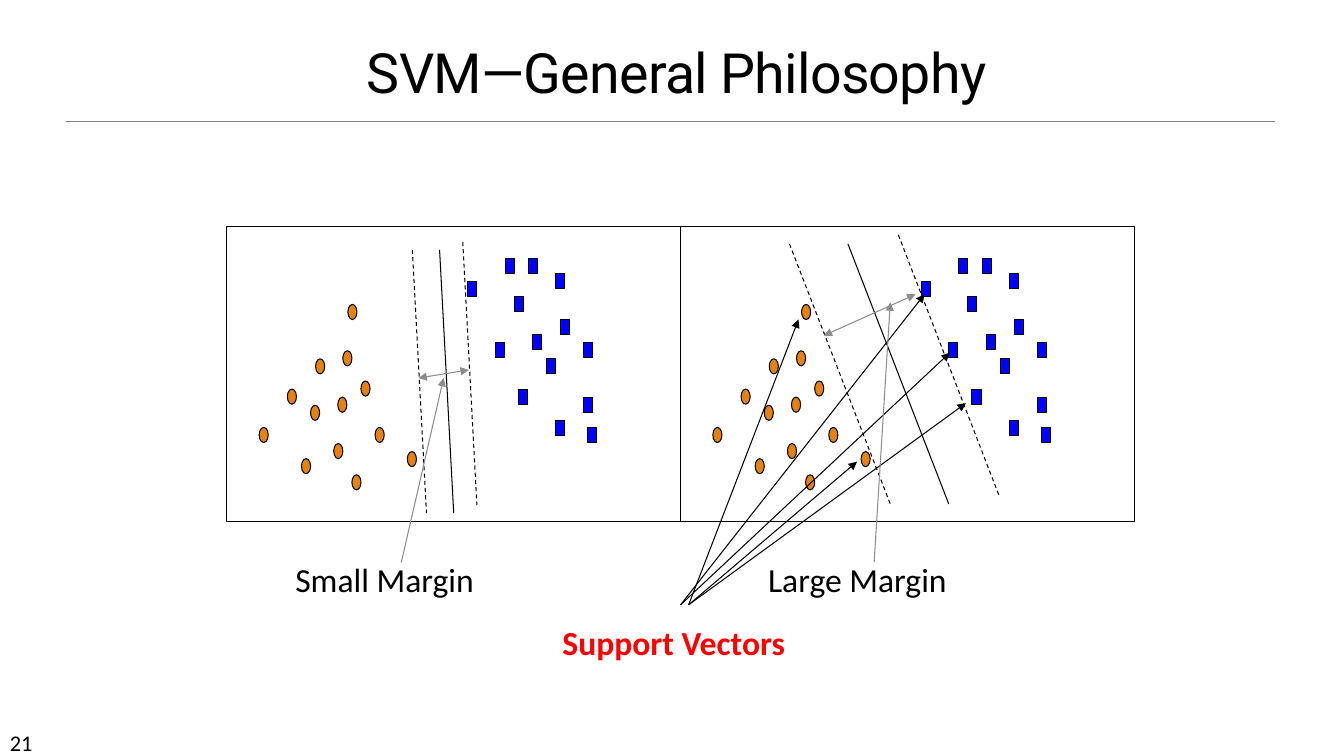
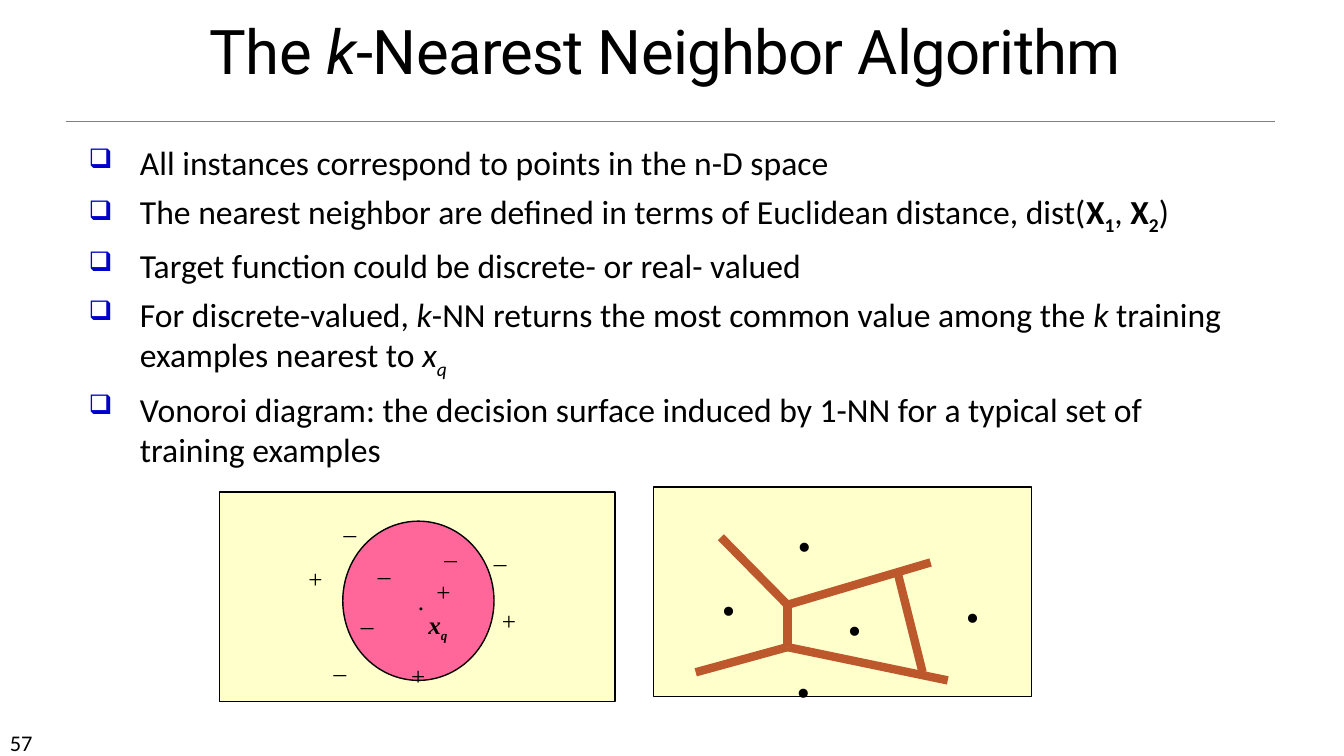
from lxml import etree
from pptx import Presentation
from pptx.dml.color import RGBColor
from pptx.enum.dml import MSO_LINE
from pptx.enum.shapes import MSO_CONNECTOR, MSO_SHAPE as SHAPE
from pptx.enum.text import MSO_ANCHOR as ANCHOR, MSO_AUTO_SIZE as AUTO, PP_ALIGN as ALIGN
from pptx.oxml.ns import qn
from pptx.util import Inches, Pt

BLACK = RGBColor(0x00, 0x00, 0x00)
RULE_GRAY = RGBColor(0x80, 0x80, 0x80)
ARROW_GRAY = RGBColor(0x8C, 0x8C, 0x8C)
ORANGE = RGBColor(0xE4, 0x83, 0x12)
BLUE = RGBColor(0x00, 0x00, 0xFF)
BULLET_BLUE = "0000CC"
RED = RGBColor(0xFF, 0x00, 0x00)
CREAM = RGBColor(0xFF, 0xFF, 0xCC)
PINK = RGBColor(0xFF, 0x66, 0x99)
BROWN = RGBColor(0xBD, 0x58, 0x2C)

# Run styles and text formats
BOLD = {"bold": True}
ITALIC = {"italic": True}
BOLD_SUB = {"bold": True, "sub": True}
ITALIC_SUB = {"italic": True, "sub": True}
TITLE = {"font": "Roboto", "align": ALIGN.CENTER, "line_spacing": 0.85, "tracking": -50, "wrap": True}
SYMBOL = {"font": "Times New Roman", "size": 18}


def add_box(slide, box, paragraphs=(), kind=None, fill=None, line_width=0.75,
            font="Calibri", size=24, color=BLACK, bold=False, align=ALIGN.LEFT,
            anchor=ANCHOR.TOP, wrap=False, line_spacing=None, tracking=None,
            bullet=None, left_inset=0.1):
    """Add a text box, or a preset shape when kind is given.

    A paragraph is a string or a list of (text, run style) pairs.
    """
    place = [Inches(value) for value in box]
    if kind is None:
        shape = slide.shapes.add_textbox(*place)
    else:
        shape = slide.shapes.add_shape(kind, *place)
        shape.shadow.inherit = False
        if fill is None:
            shape.fill.background()
        else:
            shape.fill.solid()
            shape.fill.fore_color.rgb = fill
        shape.line.color.rgb = BLACK
        shape.line.width = Pt(line_width)

    frame = shape.text_frame
    frame.word_wrap = wrap
    frame.auto_size = AUTO.NONE if wrap or kind else AUTO.SHAPE_TO_FIT_TEXT
    frame.vertical_anchor = anchor
    frame.margin_left = Inches(left_inset)
    for index, content in enumerate(paragraphs):
        paragraph = frame.paragraphs[0] if index == 0 else frame.add_paragraph()
        paragraph.alignment = align
        if line_spacing:
            paragraph.line_spacing = line_spacing
        if bullet:
            paragraph.space_before = Pt(6 if index else 0)
            properties = paragraph._p.get_or_add_pPr()
            properties.set("marL", str(Inches(0.51)))
            properties.set("indent", str(-Inches(0.51)))
            bullet_color = etree.SubElement(properties, qn("a:buClr"))
            etree.SubElement(bullet_color, qn("a:srgbClr"), val=BULLET_BLUE)
            etree.SubElement(properties, qn("a:buSzPct"), val="80000")
            etree.SubElement(properties, qn("a:buChar"), char=bullet)
        runs = [(content, {})] if isinstance(content, str) else content
        for text, style in runs:
            run = paragraph.add_run()
            run.text = text
            run.font.name = font
            run.font.size = Pt(style.get("size", size))
            run.font.color.rgb = color
            run.font.bold = style.get("bold", bold)
            run.font.italic = style.get("italic", False)
            if style.get("sub"):
                run.font._element.set("baseline", "-25000")
            if tracking:
                run.font._element.set("spc", str(tracking))


def add_line(slide, start, end, color=BLACK, width=0.75, dashed=False, arrows=()):
    """Add a straight line; arrows names the ends with a head: headEnd, tailEnd."""
    points = [Inches(value) for value in (*start, *end)]
    connector = slide.shapes.add_connector(MSO_CONNECTOR.STRAIGHT, *points)
    connector.line.color.rgb = color
    connector.line.width = Pt(width)
    if dashed:
        connector.line.dash_style = MSO_LINE.DASH
    properties = connector.element.spPr
    for arrow in arrows:
        etree.SubElement(properties.find(qn("a:ln")), qn(f"a:{arrow}"), type="triangle")
    etree.SubElement(properties, qn("a:effectLst"))


presentation = Presentation()
presentation.slide_width = Inches(13.33)
presentation.slide_height = Inches(7.5)
slides = []

# Shared rule, page number and title
for number, title, box, size, anchor in (
    ("21", "SVM—General Philosophy", (2, 0.42, 9.42, 0.67), 39.6, ANCHOR.BOTTOM),
    ("57", [("The ", {}), ("k", ITALIC), ("-Nearest Neighbor Algorithm", {})],
     (0.57, 0, 12.06, 1.11), 44, ANCHOR.MIDDLE),
):
    slide = presentation.slides.add_slide(presentation.slide_layouts[6])
    add_line(slide, (0.65, 1.2), (12.65, 1.2), RULE_GRAY, 0.5)
    add_box(slide, (0, 7.18, 1.17, 0.3), [number], size=16, wrap=True)
    add_box(slide, box, [title], size=size, anchor=anchor, **TITLE)
    slides.append(slide)
svm_slide, knn_slide = slides

# SVM: the same two classes in both panels
circles = [(2.99, 4.55), (3.08, 4.02), (2.57, 4.24), (2.85, 3.86), (3.31, 4.4),
           (3.13, 3.56), (3.35, 3.94), (3.4, 3.48), (3.58, 3.78), (3.72, 4.24),
           (3.49, 4.71), (4.04, 4.48), (3.45, 3.02)]
squares = [(4.91, 3.4), (4.64, 2.79), (5.01, 2.56), (5.14, 3.86), (5.1, 2.94),
           (5.28, 3.32), (5.24, 2.56), (5.51, 2.71), (5.42, 3.56), (5.56, 3.17),
           (5.51, 4.17), (5.79, 3.4), (5.79, 3.94), (5.83, 4.24)]
panel_width = 4.5
for offset in (0, panel_width):
    for kind, fill, points in ((SHAPE.OVAL, ORANGE, circles), (SHAPE.RECTANGLE, BLUE, squares)):
        for x, y in points:
            add_box(svm_slide, (x + offset, y, 0.09, 0.15), kind=kind, fill=fill)
    add_box(svm_slide, (2.25 + offset, 2.25, panel_width, 2.92), kind=SHAPE.RECTANGLE)

# SVM: separating lines with their dashed margins
for x, y, run, rise, dashed in (
    (4.59, 2.4, 0.14, 2.61, True), (4.09, 2.48, 0.14, 2.61, True), (4.36, 2.48, 0.14, 2.61, False),
    (7.83, 2.42, 1, 2.58, True), (8.91, 2.33, 1, 2.59, True), (8.41, 2.42, 1, 2.58, False),
):
    add_line(svm_slide, (x, y), (x + run, y + rise), dashed=dashed)

# SVM: support vectors
add_box(svm_slide, (5.48, 6.12, 2.43, 0.51), ["Support Vectors"], color=RED, bold=True)
for x, target in ((6.75, (9.17, 2.92)), (6.75, (9.42, 3.5)), (6.83, (9.58, 4)),
                  (6.83, (8.5, 4.58)), (6.83, (7.92, 3.17))):
    add_line(svm_slide, (x, 6), target, arrows=["tailEnd"])

# SVM: margin labels, spans and pointers
for label, x, span, pointer in (
    ("Small Margin", 2.83, ((4.15, 3.75), (4.65, 3.67)), ((3.98, 5.58), (4.4, 3.75))),
    ("Large Margin", 7.52, ((8.17, 3.33), (9.08, 2.92)), ((8.67, 5.58), (8.83, 3))),
):
    add_box(svm_slide, (x, 5.5, 1.99, 0.51), [label])
    add_line(svm_slide, *span, ARROW_GRAY, arrows=["headEnd", "tailEnd"])
    add_line(svm_slide, *pointer, ARROW_GRAY, arrows=["tailEnd"])

# k-NN: bullet list
add_box(knn_slide, (0.78, 1.36, 11.68, 3.29), [
    "All instances correspond to points in the n-D space",
    [("The nearest neighbor are defined in terms of Euclidean distance, dist(", {}),
     ("X", BOLD), ("1", BOLD_SUB), (", ", {}), ("X", BOLD), ("2", BOLD_SUB), (")", {})],
    "Target function could be discrete- or real- valued",
    [("For discrete-valued, ", {}), ("k", ITALIC),
     ("-NN returns the most common value among the ", {}), ("k", ITALIC),
     (" training examples nearest to ", {}), ("x", ITALIC), ("q", ITALIC_SUB)],
    "Vonoroi diagram: the decision surface induced by 1-NN for a typical set of training examples",
], wrap=True, bullet="❑")

# k-NN: panels and neighborhood circle
for box in ((2.18, 4.88, 3.92, 2.08), (6.48, 4.83, 3.75, 2.08)):
    add_box(knn_slide, box, kind=SHAPE.RECTANGLE, fill=CREAM, line_width=1)
add_box(knn_slide, (3.4, 5.17, 1.5, 1.58), ["."], kind=SHAPE.OVAL, fill=PINK, line_width=1,
        align=ALIGN.CENTER, anchor=ANCHOR.MIDDLE, left_inset=0.15, **SYMBOL)

# k-NN: positive and negative examples around the query point
for sign, points in (
    ("_", [(3.65, 5.42), (3.48, 5.92), (4.31, 5.25), (4.8, 5.29), (3.21, 6.38), (3.31, 5)]),
    ("+", [(4.23, 5.67), (3.98, 6.5), (2.96, 5.54), (4.88, 5.96)]),
):
    for x, y in points:
        add_box(knn_slide, (x, y, 0.34, 0.4), [sign], **SYMBOL)
query = [("x", {"bold": True, "italic": True}),
         ("q", {"bold": True, "italic": True, "sub": True, "size": 16})]
add_box(knn_slide, (4.15, 6, 0.4, 0.4), [query], **SYMBOL)

# k-NN: Voronoi edges and points
upper, lower = (7.81, 6), (7.81, 6.42)
for start, end in (((7.15, 5.33), upper), (upper, (9.23, 5.58)), (upper, lower),
                   (lower, (9.4, 6.75)), (lower, (6.9, 6.67)), ((8.9, 5.67), (9.15, 6.67))):
    add_line(knn_slide, start, end, BROWN, 6)
for x, y in ((7.81, 4.87), (8.31, 5.7), (7.8, 6.32), (7.06, 5.5), (9.48, 5.57)):
    add_box(knn_slide, (x, y, 0.34, 0.77), ["."], font="Times New Roman", size=40, bold=True)

presentation.save("out.pptx")
